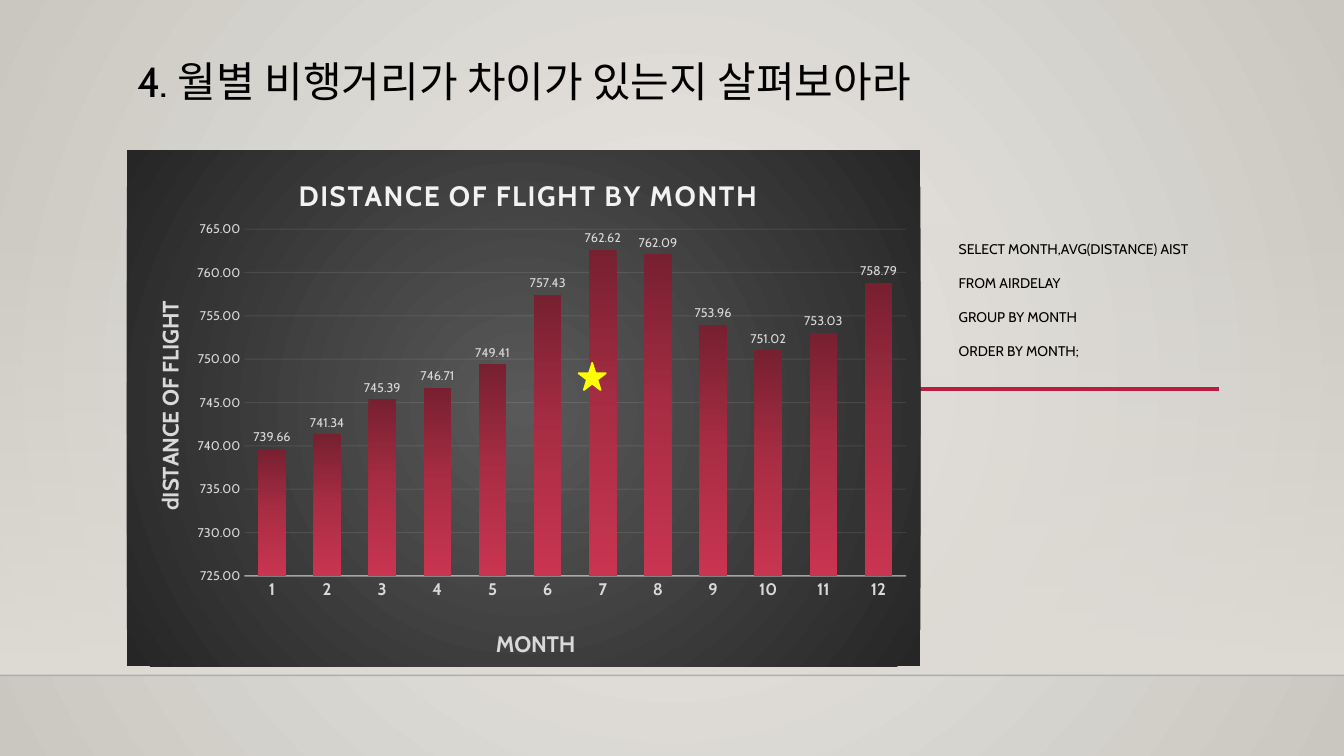
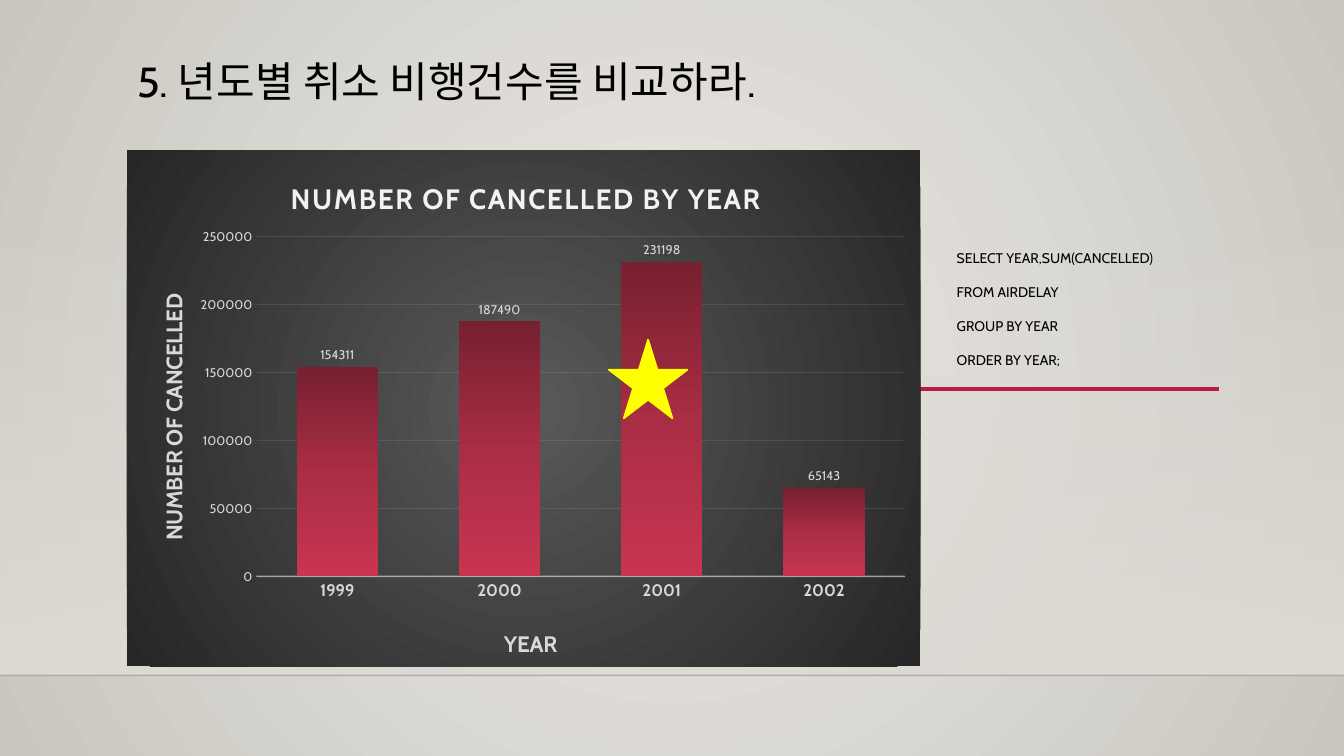
import pptx
import pptx.chart.data
import pptx.dml.color
import pptx.enum.chart
import pptx.enum.shapes
import pptx.enum.text
import pptx.oxml
import pptx.oxml.ns
import pptx.util

RGB = pptx.dml.color.RGBColor
Pt = pptx.util.Pt
BLACK = RGB(0x00, 0x00, 0x00)
RULE = RGB(0x00, 0x00, 0x01)
CRIMSON = RGB(0xB7, 0x1E, 0x42)
YELLOW = RGB(0xFF, 0xFF, 0x00)
OFF_WHITE = RGB(0xF2, 0xF2, 0xF2)
SILVER = RGB(0xD9, 0xD9, 0xD9)
STONE = RGB(0xDF, 0xDB, 0xD5)
BACKDROP = [(0, RGB(0xEC, 0xEA, 0xE7), 100), (100, RGB(0xCA, 0xC7, 0xC1), 100)]
FADE = [(0, STONE, 0), (100, STONE, 100)]
CHARCOAL = [(0, RGB(0x59, 0x59, 0x59), 100), (100, RGB(0x26, 0x26, 0x26), 100)]
BARS = [
    (0, RGB(0x77, 0x20, 0x30), 100),
    (50, RGB(0xA9, 0x2D, 0x44), 100),
    (100, RGB(0xC9, 0x35, 0x51), 100),
]

TITLE_FONT = {"name": "Cabin", "size": Pt(30), "bold": False}
QUERY_FONT = {"name": "Cabin", "size": Pt(10), "bold": False}
CHART_TITLE_FONT = {"name": "Cabin", "size": Pt(20), "bold": True}
AXIS_TITLE_FONT = {"name": "Cabin", "size": Pt(16), "bold": True}
CATEGORY_FONT = {"name": "Cabin", "size": Pt(12), "bold": True}
VALUE_FONT = {"name": "Cabin", "size": Pt(9), "bold": False}
TITLE_FRAME = {
    "word_wrap": True,
    "auto_size": pptx.enum.text.MSO_AUTO_SIZE.NONE,
    "vertical_anchor": pptx.enum.text.MSO_ANCHOR.BOTTOM,
    "margin_bottom": 0,
}
QUERY_FRAME = {
    "word_wrap": True,
    "auto_size": pptx.enum.text.MSO_AUTO_SIZE.NONE,
    "vertical_anchor": pptx.enum.text.MSO_ANCHOR.TOP,
    "margin_top": pptx.util.Inches(0.1),
    "margin_bottom": pptx.util.Inches(0.1),
}
LEFT = pptx.enum.text.PP_ALIGN.LEFT
TITLE_LINE = {"alignment": LEFT, "line_spacing": 0.9, "space_before": Pt(0)}
QUERY_LINE = {"alignment": LEFT, "line_spacing": 1.2, "space_before": Pt(10)}


def style(target, values, color=None):
    for name, value in values.items():
        setattr(target, name, value)
    if color is not None:
        target.color.rgb = color


def gradient(properties, stops, radial):
    stop_xml = "".join(
        f'<a:gs pos="{place * 1000}"><a:srgbClr val="{color}">'
        f'<a:alpha val="{opacity * 1000}"/></a:srgbClr></a:gs>'
        for place, color, opacity in stops
    )
    direction = (
        '<a:path path="circle"><a:fillToRect l="50000" t="50000" r="50000" b="50000"/></a:path>'
        if radial
        else '<a:lin ang="5400000" scaled="0"/>'
    )
    solid = properties.xpath("a:solidFill")[0]
    properties.replace(solid, pptx.oxml.parse_xml(
        f'<a:gradFill {pptx.oxml.ns.nsdecls("a")} rotWithShape="1">'
        f"<a:gsLst>{stop_xml}</a:gsLst>{direction}</a:gradFill>"
    ))


deck = pptx.Presentation()
deck.slide_width = pptx.util.Inches(13.333)
deck.slide_height = pptx.util.Inches(7.5)
column = deck.slide_width / 100
row = deck.slide_height / 100
layout = deck.slide_layouts[0]
master = deck.slide_master
master.background.fill.solid()
gradient(master.element.xpath(".//p:bgPr")[0], BACKDROP, True)

topics = [
    {
        "heading": "4. 월별 비행거리가 차이가 있는지 살펴보아라",
        "query": ["SELECT MONTH,AVG(DISTANCE) AIST", "FROM AIRDELAY",
                  "GROUP BY MONTH", "ORDER BY MONTH;"],
        "query_at": (70.58, 30, 22.58, 39.87),
        "chart_title": "DISTANCE OF FLIGHT BY MONTH",
        "category_title": "MONTH",
        "value_title": "dISTANCE OF FLIGHT",
        "categories": [str(month) for month in range(1, 13)],
        "values": [739.66, 741.34, 745.39, 746.71, 749.41, 757.43,
                   762.62, 762.09, 753.96, 751.02, 753.03, 758.79],
        "number_format": "0.00",
        "scale": {"minimum_scale": 725, "maximum_scale": 765, "major_unit": 5},
        "plot_at": (0.148, 0.153, 0.834, 0.672),
        "titles_at": [(0.21, 0.04), (0.46, 0.92), (0.03, 0.285)],
        "star_at": (43.05, 48, 2.03, 3.6),
    },
    {
        "heading": "5. 년도별 취소 비행건수를 비교하라.",
        "query": ["SELECT YEAR,SUM(CANCELLED)", "FROM AIRDELAY",
                  "GROUP BY YEAR", "ORDER BY YEAR;"],
        "query_at": (70.43, 31.2, 20.85, 37.87),
        "chart_title": "NUMBER OF CANCELLED BY YEAR",
        "category_title": "YEAR",
        "value_title": "NUMBER OF CANCELLED",
        "categories": ["1999", "2000", "2001", "2002"],
        "values": [154311, 187490, 231198, 65143],
        "number_format": "0",
        "scale": {"minimum_scale": 0, "maximum_scale": 250000, "major_unit": 50000},
        "plot_at": (0.163, 0.167, 0.818, 0.659),
        "titles_at": [(0.2, 0.045), (0.47, 0.92), (0.035, 0.27)],
        "star_at": (45.3, 44.93, 5.85, 10.4),
    },
]

slides = [deck.slides.add_slide(layout) for topic in topics]

drawing = slides[0].shapes
band = drawing.add_shape(
    pptx.enum.shapes.MSO_SHAPE.RECTANGLE,
    0, int(29.47 * row), deck.slide_width, int(59.86 * row),
)
band.shadow.inherit = False
band.fill.solid()
band.line.fill.background()
gradient(band.element.spPr, FADE, False)
scenery = [band]
for start, end, level, color, width, opacity in [
    (0, 100, 89.33, RULE, 1, 20),
    (19.8, 90.68, 51.47, CRIMSON, 2.5, 100),
]:
    rule = drawing.add_connector(
        pptx.enum.shapes.MSO_CONNECTOR.STRAIGHT,
        int(start * column), int(level * row), int(end * column), int(level * row),
    )
    style(rule.line, {"width": Pt(width)}, color)
    rule.element.xpath(".//a:srgbClr")[0].append(pptx.oxml.parse_xml(
        f'<a:alpha {pptx.oxml.ns.nsdecls("a")} val="{opacity * 1000}"/>'))
    rule.element.spPr.append(pptx.oxml.parse_xml(
        f'<a:effectLst {pptx.oxml.ns.nsdecls("a")}/>'))
    scenery.append(rule)
for number, part in enumerate(scenery, start=20):
    part.element.xpath(".//p:cNvPr")[0].set("id", str(number))
    master.shapes.element.append(part.element)

for slide, topic in zip(slides, topics):
    heading, query = slide.placeholders
    for holder, place, lines, frame, line_format, font, in [
        (heading, (9.45, 4.67, 72.4, 9.47), [topic["heading"]],
         TITLE_FRAME, TITLE_LINE, TITLE_FONT),
        (query, topic["query_at"], topic["query"],
         QUERY_FRAME, QUERY_LINE, QUERY_FONT),
    ]:
        for side, share, unit in zip(
            ("left", "top", "width", "height"), place, (column, row, column, row)
        ):
            setattr(holder, side, int(share * unit))
        holder.text_frame.text = "\n".join(lines)
        style(holder.text_frame, frame)
        for paragraph in holder.text_frame.paragraphs:
            style(paragraph, line_format)
            style(paragraph.runs[0].font, font, BLACK)

    flights = pptx.chart.data.CategoryChartData(number_format=topic["number_format"])
    flights.categories = topic["categories"]
    flights.add_series("Series 1", topic["values"])
    chart = slide.shapes.add_chart(
        pptx.enum.chart.XL_CHART_TYPE.COLUMN_CLUSTERED,
        int(9.45 * column), int(19.87 * row), int(59.03 * column), int(68.27 * row),
        flights,
    ).chart
    chart.has_legend = False
    style(chart.font, QUERY_FONT, BLACK)
    months_or_years, amounts = chart.category_axis, chart.value_axis
    for caption, wording, font, color in [
        (chart.chart_title, topic["chart_title"], CHART_TITLE_FONT, OFF_WHITE),
        (months_or_years.axis_title, topic["category_title"], AXIS_TITLE_FONT, SILVER),
        (amounts.axis_title, topic["value_title"], AXIS_TITLE_FONT, SILVER),
    ]:
        caption.text_frame.text = wording
        style(caption.text_frame.paragraphs[0].runs[0].font, font, color)

    for axis, font in [(months_or_years, CATEGORY_FONT), (amounts, VALUE_FONT)]:
        style(axis, {
            "major_tick_mark": pptx.enum.chart.XL_TICK_MARK.NONE,
            "minor_tick_mark": pptx.enum.chart.XL_TICK_MARK.NONE,
        })
        style(axis.tick_labels.font, font, SILVER)
    style(amounts, topic["scale"])
    amounts.has_major_gridlines = True
    amounts.format.line.fill.background()
    style(months_or_years.format.line, {"width": Pt(1)}, OFF_WHITE)
    style(amounts.major_gridlines.format.line, {"width": Pt(0.75)}, OFF_WHITE)
    number_style = {
        "number_format": topic["number_format"],
        "number_format_is_linked": False,
    }
    style(amounts.tick_labels, number_style)

    plot = chart.plots[0]
    style(plot, {"gap_width": 100, "overlap": -24,
                 "vary_by_categories": False, "has_data_labels": True})
    style(plot.data_labels, {
        **number_style,
        "show_value": True,
        "position": pptx.enum.chart.XL_LABEL_POSITION.OUTSIDE_END,
    })
    style(plot.data_labels.font, VALUE_FONT, SILVER)
    plot.series[0].format.fill.solid()
    gradient(chart.element.xpath(".//c:ser/c:spPr")[0], BARS, False)

    panel = pptx.oxml.parse_xml(
        f'<c:spPr {pptx.oxml.ns.nsdecls("c", "a")}><a:solidFill/>'
        "<a:ln><a:noFill/></a:ln></c:spPr>")
    chart.element.xpath("c:chart")[0].addnext(panel)
    gradient(panel, CHARCOAL, True)
    for location, opacity in {"c:catAx/c:spPr": 54, "c:majorGridlines/c:spPr": 10}.items():
        chart.element.xpath(f".//{location}//a:srgbClr")[0].append(pptx.oxml.parse_xml(
            f'<a:alpha {pptx.oxml.ns.nsdecls("a")} val="{opacity * 1000}"/>'))
    chart.element.xpath("c:chart/c:title//a:rPr")[0].set("spc", "100")
    chart.element.xpath(".//c:valAx/c:title//a:bodyPr")[0].set("rot", "-5400000")

    title_places = ["c:chart/c:title", ".//c:catAx/c:title", ".//c:valAx/c:title"]
    for location, position, shares in [
        (".//c:plotArea", 0, topic["plot_at"]),
        *((location, 1, shares) for location, shares in zip(title_places, topic["titles_at"])),
    ]:
        holder = chart.element.xpath(location)[0]
        for automatic in holder.xpath("c:layout"):
            holder.remove(automatic)
        target = '<c:layoutTarget val="inner"/>' if position == 0 else ""
        modes = '<c:xMode val="edge"/><c:yMode val="edge"/>'
        sizes = "".join(f'<c:{side} val="{share}"/>' for side, share in zip("xywh", shares))
        holder.insert(position, pptx.oxml.parse_xml(
            f'<c:layout {pptx.oxml.ns.nsdecls("c")}><c:manualLayout>'
            f"{target}{modes}{sizes}</c:manualLayout></c:layout>"))

    left, top, width, height = topic["star_at"]
    peak = slide.shapes.add_shape(
        pptx.enum.shapes.MSO_SHAPE.STAR_5_POINT,
        int(left * column), int(top * row), int(width * column), int(height * row),
    )
    peak.shadow.inherit = False
    peak.fill.solid()
    peak.fill.fore_color.rgb = YELLOW
    style(peak.line, {"width": Pt(1.25)}, YELLOW)

deck.save("out.pptx")
